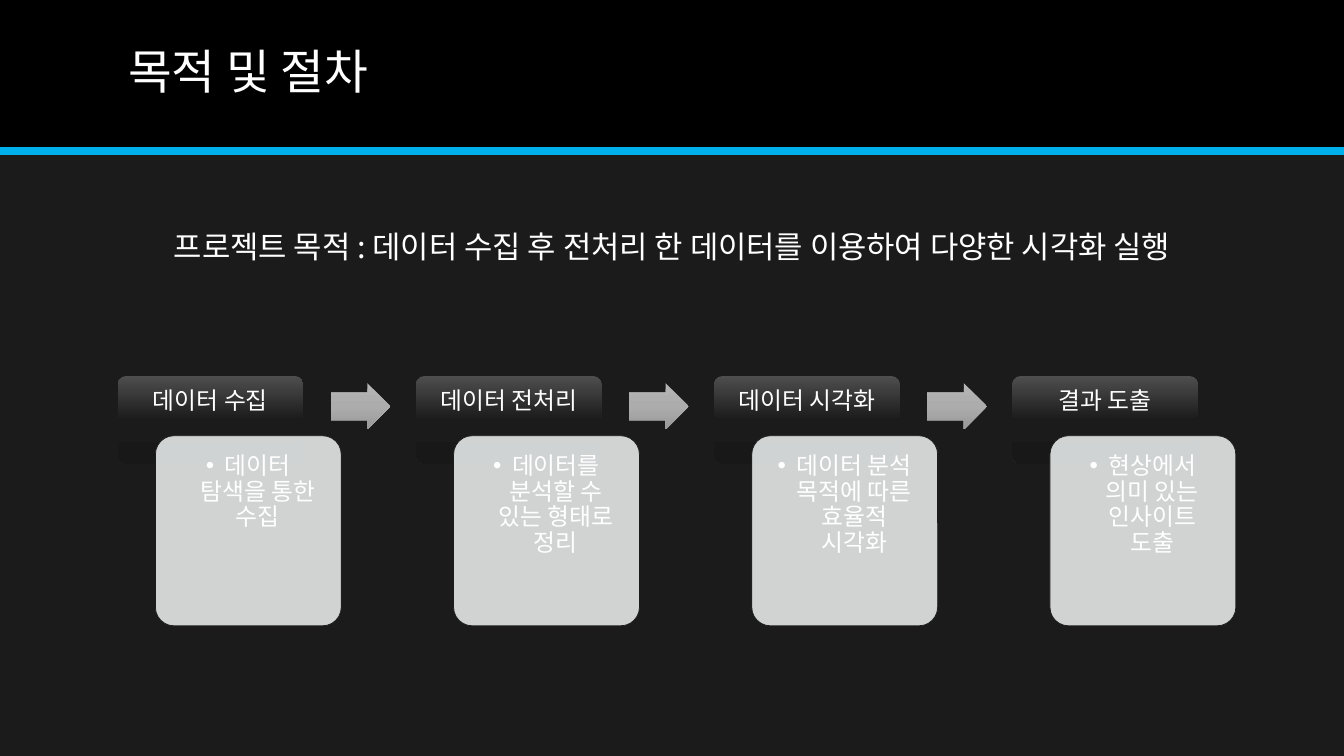
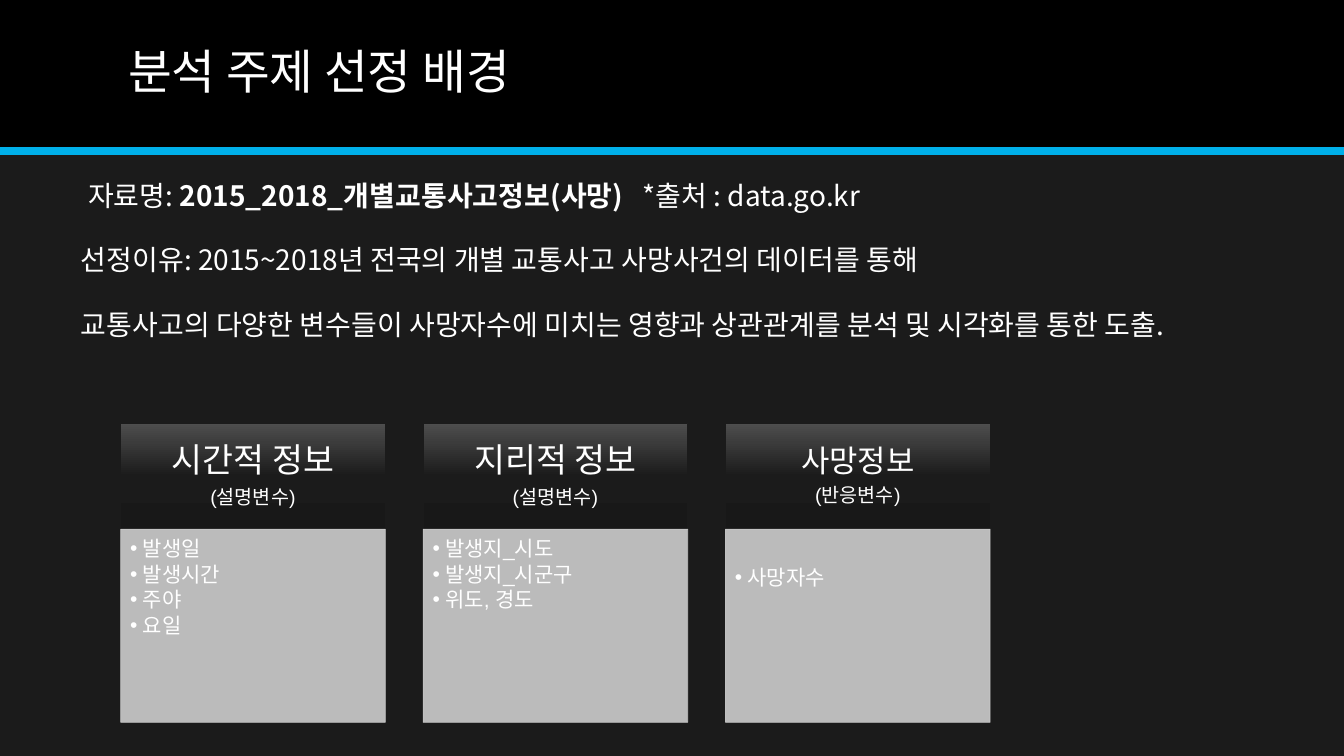
from copy import deepcopy

from lxml import etree
from pptx import Presentation
from pptx import util as u
from pptx.dml.color import RGBColor
from pptx.enum import shapes, text
from pptx.oxml.ns import qn

PX = 9525
WIDE, HIGH = 1280, 720
BLACK = RGBColor(0x00, 0x00, 0x00)
WHITE = RGBColor(0xFF, 0xFF, 0xFF)
DARK = RGBColor(0x1B, 0x1B, 0x1B)
BLUE = RGBColor(0x00, 0xB0, 0xEA)
PALE = RGBColor(0xE5, 0xE8, 0xE8)
GRAY = RGBColor(0xCD, 0xCD, 0xCD)
SHADE = (RGBColor(0x4E, 0x4E, 0x4E), DARK, RGBColor(0x18, 0x18, 0x18))
STEEL = (RGBColor(0xB5, 0xB5, 0xB5), RGBColor(0xAC, 0xAC, 0xAC),
         RGBColor(0x99, 0x99, 0x99))
SANS = "Noto Sans CJK KR"
ARIAL = "Arial"
KIND = shapes.MSO_SHAPE
LEFT, MID = text.PP_ALIGN.LEFT, text.PP_ALIGN.CENTER
TOP, HALF = text.MSO_ANCHOR.TOP, text.MSO_ANCHOR.MIDDLE

STEPS = (
    ("데이터 수집", "데이터 탐색을 통한 수집"),
    ("데이터 전처리", "데이터를 분석할 수 있는 형태로 정리"),
    ("데이터 시각화", "데이터 분석 목적에 따른 효율적 시각화"),
    ("결과 도출", "현상에서 의미 있는 인사이트 도출"),
)
GROUPS = (
    ("시간적 정보", "(설명변수)", 24, 9, ("발생일", "발생시간", "주야", "요일")),
    ("지리적 정보", "(설명변수)", 24, 9, ("발생지_시도", "발생지_시군구", "위도, 경도")),
    ("사망정보", "(반응변수)", 22, 36, ("사망자수",)),
)


def px(*nums):
    return [u.Emu(n * PX) for n in nums]


def blend(shape, tones):
    fill = shape.fill
    fill.gradient()
    fill.gradient_angle = 270
    stops = shape._element.spPr.find(".//" + qn("a:gsLst"))
    stops.append(deepcopy(stops[-1]))
    for spot, stop, tone in zip((0, 0.5, 1), fill.gradient_stops, tones):
        stop.position = spot
        stop.color.rgb = tone


def fade(paint):
    for tone in paint.iter(qn("a:srgbClr")):
        etree.SubElement(tone, qn("a:alpha"), val="90000")


def block(slide, kind, box, fill, line=None, adj=()):
    shape = slide.shapes.add_shape(kind, *px(*box))
    shape.shadow.inherit = False
    for i, size in enumerate(adj):
        shape.adjustments[i] = size
    if isinstance(fill, RGBColor):
        shape.fill.solid()
        shape.fill.fore_color.rgb = fill
    else:
        blend(shape, fill)
    if line is None:
        shape.line.fill.background()
    else:
        shape.line.color.rgb = line
        shape.line.width = u.Pt(0.5)
    return shape


def write(shape, lines, sizes, font=SANS, align=LEFT, anchor=TOP,
          inset=(10, 5, 10, 5), lead=0.9, before=0, after=0):
    frame = shape.text_frame
    frame.word_wrap = True
    frame.vertical_anchor = anchor
    (frame.margin_left, frame.margin_top,
     frame.margin_right, frame.margin_bottom) = px(*inset)
    frame.text = "\n".join(lines)
    for para, size in zip(frame.paragraphs, sizes):
        para.alignment = align
        para.line_spacing = lead
        para.space_before = u.Pt(before)
        para.space_after = u.Pt(after)
        for run in para.runs:
            style(run, size, font)
    return frame


def style(run, size, font=SANS, bold=False):
    run.font.size = u.Pt(size)
    run.font.name = font
    run.font.bold = bold
    run.font.color.rgb = WHITE


def label(slide, box, lines, size, **look):
    shape = slide.shapes.add_textbox(*px(*box))
    return write(shape, lines, [size] * len(lines), **look)


def bullet(frame, indent):
    for para in frame.paragraphs:
        prop = para._p.get_or_add_pPr()
        prop.set("marL", str(indent * PX))
        prop.set("indent", str(-indent * PX))
        etree.SubElement(prop, qn("a:buFont"), typeface=ARIAL)
        etree.SubElement(prop, qn("a:buChar"), char="•")


def start(deck, title):
    slide = deck.slides.add_slide(deck.slide_layouts[6])
    block(slide, KIND.RECTANGLE, (0, 0, WIDE, 144), BLACK)
    rule = slide.shapes.add_connector(
        shapes.MSO_CONNECTOR.STRAIGHT, *px(0, 144, WIDE, 144))
    rule.line.color.rgb = BLUE
    rule.line.width = u.Pt(6)
    etree.SubElement(rule._element.spPr, qn("a:effectLst"))
    label(slide, (112, 13, 1056, 115), [title], 34, anchor=HALF)
    return slide


def step(slide, x, head, note):
    top = block(slide, KIND.ROUNDED_RECTANGLE, (x, 358, 177, 84), SHADE,
                adj=(0.1,))
    write(top, [head], [17], align=MID, inset=(10, 10, 10, 7))
    card = block(slide, KIND.ROUNDED_RECTANGLE, (x + 36, 415, 177, 181),
                 PALE, DARK, (0.1,))
    fade(card._element.spPr.find(qn("a:solidFill")))
    bullet(write(card, [note], [17], align=MID, inset=(12, 12, 12, 12)), 18)


def group(slide, x, head, role, size, drop, items):
    top = block(slide, KIND.RECTANGLE, (x, 403, 252, 101), SHADE, DARK)
    write(top, [head, role], [size, 14], ARIAL, MID, HALF,
          (18, 11, 18, 11), after=5)
    card = block(slide, KIND.RECTANGLE, (x, 504, 252, 184), GRAY, GRAY)
    fade(card._element.spPr)
    frame = write(card, items, [15] * len(items), ARIAL,
                  inset=(9, drop, 12, 12), after=2)
    bullet(frame, 12)


def goal(deck):
    slide = start(deck, "목적 및 절차")
    for i, (head, note) in enumerate(STEPS):
        x = 112 + 284 * i
        step(slide, x, head, note)
        if i < len(STEPS) - 1:
            block(slide, KIND.RIGHT_ARROW, (x + 203, 365, 57, 44), STEEL,
                  adj=(0.6, 0.5))
    label(slide, (0, 212, WIDE, 111),
          ["프로젝트 목적 : 데이터 수집 후 전처리 한 데이터를 이용하여 다양한 시각화 실행"],
          22, align=MID, lead=1.0)


def topic(deck):
    slide = start(deck, "분석 주제 선정 배경")
    frame = label(slide, (67, 165, 1164, 264), [
        "자료명: ",
        "선정이유: 2015~2018년 전국의 개별 교통사고 사망사건의 데이터를 통해",
        "교통사고의 다양한 변수들이 사망자수에 미치는 영향과 상관관계를 분석 및 시각화를 통한 도출.",
    ], 20, lead=1.0, before=22)
    first = frame.paragraphs[0]
    for words, bold in (("2015_2018_개별교통사고정보(사망)", True),
                        ("\t*출처 : data.go.kr", False)):
        run = first.add_run()
        run.text = words
        style(run, 20, bold=bold)
    prop = first._p.get_or_add_pPr()
    prop.set("marL", str(7 * PX))
    prop.set("indent", "0")
    tabs = etree.SubElement(prop, qn("a:tabLst"))
    etree.SubElement(tabs, qn("a:tab"), pos=str(682 * PX), algn="l")
    for i, data in enumerate(GROUPS):
        group(slide, 115 + 288 * i, *data)


def main():
    deck = Presentation()
    deck.slide_width, deck.slide_height = px(WIDE, HIGH)
    back = deck.slide_master.background.fill
    back.solid()
    back.fore_color.rgb = DARK
    goal(deck)
    topic(deck)
    deck.save("out.pptx")


if __name__ == "__main__":
    main()
